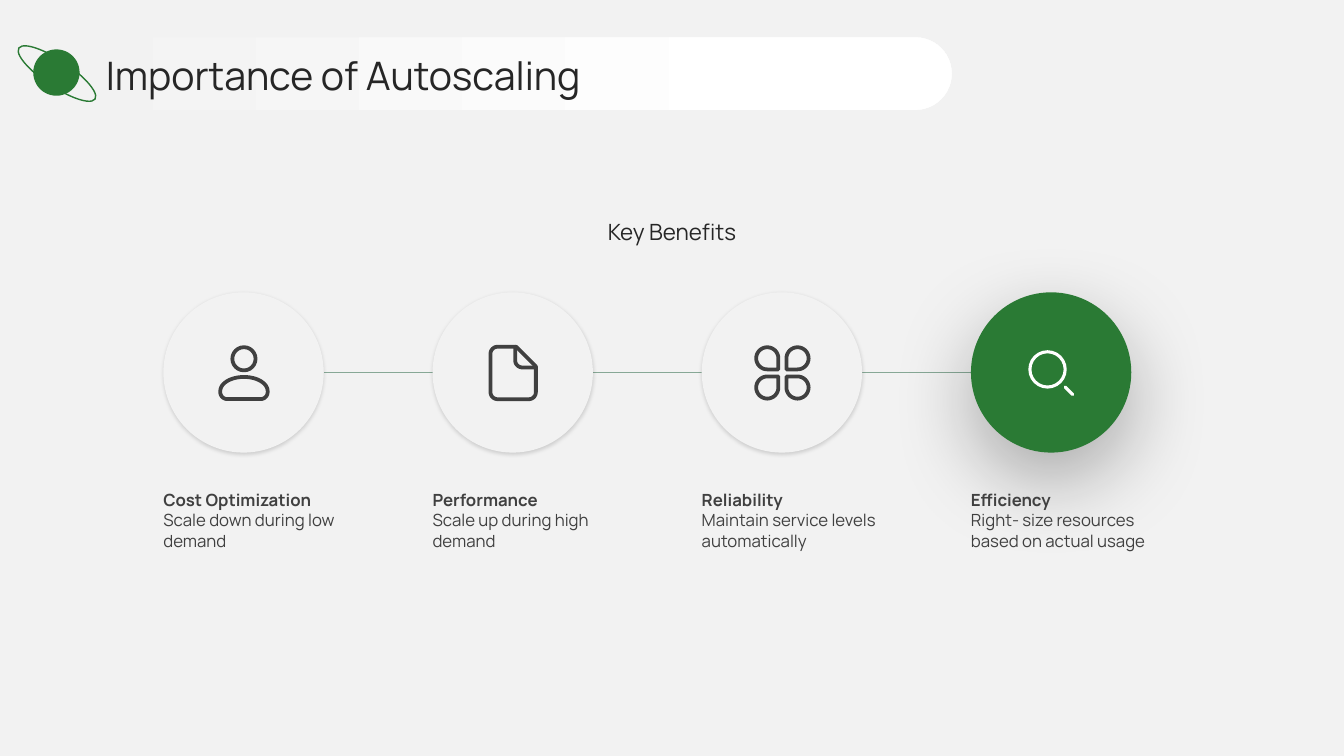
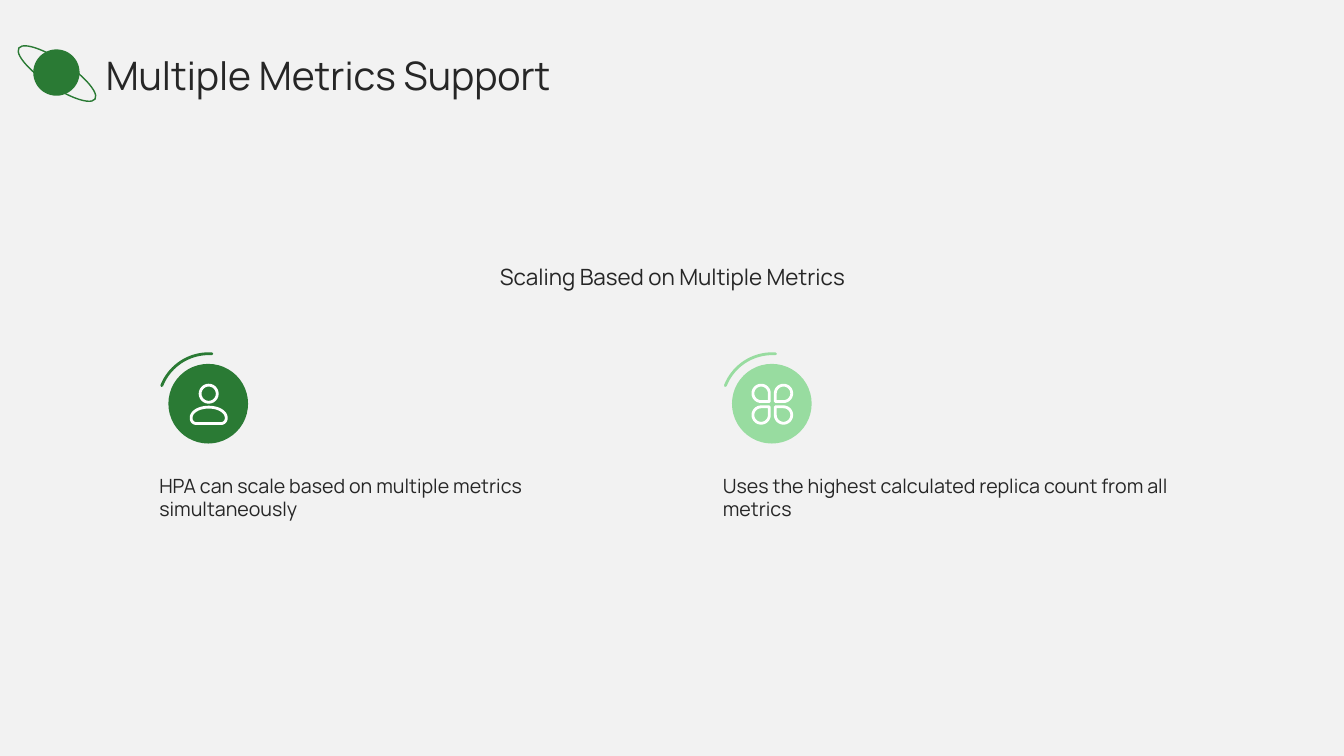
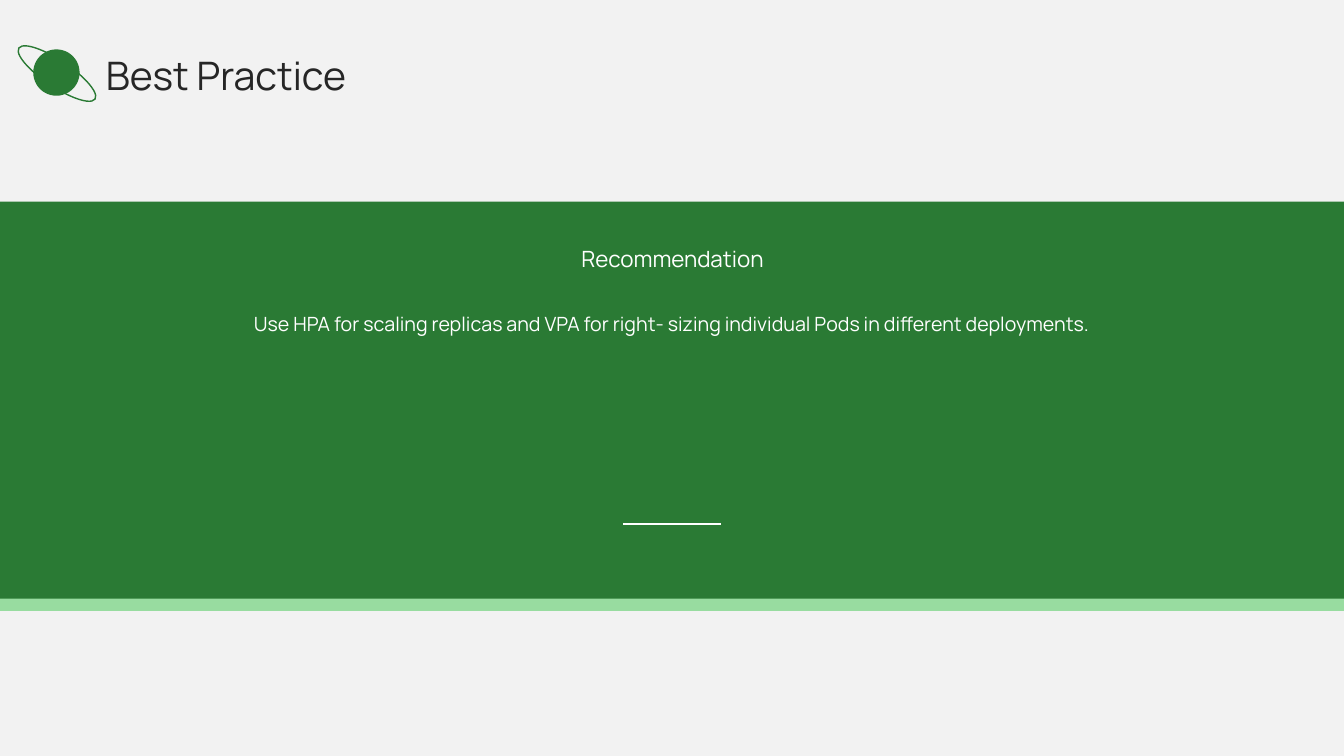
from dataclasses import dataclass
from itertools import product
from math import cos, radians, sin

from lxml.etree import SubElement
from pptx import Presentation
from pptx.dml.color import RGBColor as RGB
from pptx.enum.shapes import MSO_CONNECTOR as LINE, MSO_SHAPE as SHAPE
from pptx.enum.text import MSO_ANCHOR as ANCHOR, PP_ALIGN as ALIGN
from pptx.oxml.ns import qn
from pptx.util import Inches, Pt


@dataclass(frozen=True)
class Theme:
    paper: RGB = RGB(0xF2, 0xF2, 0xF2)
    white: RGB = RGB(0xFF, 0xFF, 0xFF)
    green: RGB = RGB(0x2A, 0x7A, 0x34)
    mint: RGB = RGB(0x98, 0xDC, 0xA0)
    thread: RGB = RGB(0x87, 0xA8, 0x96)
    ink: RGB = RGB(0x26, 0x26, 0x26)
    gray: RGB = RGB(0x40, 0x40, 0x40)
    font: str = "Manrope"
    title: int = 28
    heading: int = 16
    body: int = 14
    caption: int = 12


theme = Theme()


def write(slide, text, left, top, width, height, size=theme.body, color=theme.ink,
          align=ALIGN.LEFT, anchor=ANCHOR.TOP, insets=(0, 0, 0, 0), bold_first=False):
    frame = slide.shapes.add_textbox(
        Inches(left), Inches(top), Inches(width), Inches(height)).text_frame
    frame.word_wrap = True
    frame.vertical_anchor = anchor
    (frame.margin_left, frame.margin_top,
     frame.margin_right, frame.margin_bottom) = map(Inches, insets)
    frame.text = text
    for index, paragraph in enumerate(frame.paragraphs):
        paragraph.alignment = align
        font = paragraph.runs[0].font
        font.name = theme.font
        font.size = Pt(size)
        font.color.rgb = color
        font.bold = bold_first and index == 0


def draw(slide, kind, left, top, width, height, fill=None, line=None, weight=1):
    shape = slide.shapes.add_shape(
        kind, Inches(left), Inches(top), Inches(width), Inches(height))
    shape.shadow.inherit = False
    if fill is None:
        shape.fill.background()
    else:
        shape.fill.solid()
        shape.fill.fore_color.rgb = fill
    if line is None:
        shape.line.fill.background()
    else:
        shape.line.color.rgb = line
        shape.line.width = Pt(weight)
    return shape


deck = Presentation()
deck.slide_width, deck.slide_height = Inches(13.33), Inches(7.5)

slides = []
for title in ("Importance of Autoscaling", "Multiple Metrics Support", "Best Practice"):
    slide = deck.slides.add_slide(deck.slide_layouts[6])
    slide.background.fill.solid()
    slide.background.fill.fore_color.rgb = theme.paper
    if not slides:
        pill = draw(slide, SHAPE.ROUNDED_RECTANGLE, 0.5, 0.37, 8.94, 0.72)
        pill.adjustments[0] = 0.5
        pill.fill.gradient()
        pill.fill.gradient_angle = 0
        for stop, color, position in zip(
                pill.fill.gradient_stops, (theme.paper, theme.white), (0, 0.8)):
            stop.color.rgb = color
            stop.position = position
    write(slide, title, 1.05, 0.49, 11.67, 0.51, size=theme.title, anchor=ANCHOR.MIDDLE)
    draw(slide, SHAPE.OVAL, 0.33, 0.49, 0.46, 0.46, fill=theme.green)
    orbit = draw(slide, SHAPE.OVAL, 0.11, 0.6, 0.91, 0.26, line=theme.green)
    orbit.rotation = 33.8
    slides.append(slide)
benefits_slide, metrics_slide, practice_slide = slides

# Each contour is (closed, arcs); an arc is centre x, y, radius x, y, start and end angle.
icons = {
    "person": [
        (True, [(0, -0.14, 0.115, 0.115, 0, 360)]),
        (True, [(0, 0.18, 0.235, 0.14, 180, 360), (0.165, 0.19, 0.07, 0.07, 0, 90),
                (-0.165, 0.19, 0.07, 0.07, 90, 180)]),
    ],
    "page": [
        (True, [(-0.155, -0.19, 0.07, 0.07, 180, 270), (0.03, -0.26, 0, 0, 0, 0),
                (0.225, -0.065, 0, 0, 0, 0), (0.155, 0.19, 0.07, 0.07, 0, 90),
                (-0.155, 0.19, 0.07, 0.07, 90, 180)]),
        (False, [(0.02, -0.26, 0, 0, 0, 0), (0.09, -0.125, 0.07, 0.07, 180, 90),
                 (0.225, -0.055, 0, 0, 0, 0)]),
    ],
    "clover": [
        (True, [(x * 0.15, y * 0.145, x * 0.11, y * 0.11, -90, 180),
                (x * 0.04, y * 0.035, 0, 0, 0, 0)])
        for x, y in product((-1, 1), repeat=2)
    ],
    "search": [
        (True, [(-0.04, -0.035, 0.175, 0.175, 0, 360)]),
        (False, [(0.135, 0.14, 0, 0, 0, 0), (0.21, 0.215, 0, 0, 0, 0)]),
    ],
}
icon_spots = []

write(benefits_slide, "Key Benefits", 1.28, 1.49, 10.77, 0.94, size=theme.heading,
      align=ALIGN.CENTER, anchor=ANCHOR.BOTTOM)
thread = benefits_slide.shapes.add_connector(
    LINE.STRAIGHT, Inches(3.21), Inches(3.7), Inches(10.13), Inches(3.7))
divider = practice_slide.shapes.add_connector(
    LINE.STRAIGHT, Inches(6.18), Inches(5.2), Inches(7.15), Inches(5.2))

benefits = [
    ("Cost Optimization", "Scale down during low demand", "person"),
    ("Performance", "Scale up during high demand", "page"),
    ("Reliability", "Maintain service levels automatically", "clover"),
    ("Efficiency", "Right- size resources based on actual usage", "search"),
]
for index, (name, detail, icon) in enumerate(benefits):
    left = 1.62 + index * 2.67
    highlighted = icon == "search"
    disc = draw(benefits_slide, SHAPE.OVAL, left, 2.9, 1.59, 1.59,
                fill=theme.green if highlighted else theme.paper)
    opacity, blur, distance = (30, 60, 20) if highlighted else (15, 3, 1)
    glow = SubElement(disc.element.spPr.find(qn("a:effectLst")), qn("a:outerShdw"),
                      blurRad=str(Pt(blur)), dist=str(Pt(distance)),
                      dir="5400000", algn="t", rotWithShape="0")
    tint = SubElement(glow, qn("a:srgbClr"), val="000000")
    SubElement(tint, qn("a:alpha"), val=str(opacity * 1000))
    write(benefits_slide, f"{name}\n{detail}", left, 4.82, 2.08, 1.89, size=theme.caption,
          color=theme.gray, insets=(0, 0.04, 0.24, 0.04), bold_first=True)
    icon_spots.append((benefits_slide, icon, left + 0.8, 3.7, 1,
                       theme.white if highlighted else theme.gray,
                       2.2 if highlighted else 2.7))

write(metrics_slide, "Scaling Based on Multiple Metrics", 1.48, 1.7, 10.38, 1.18,
      size=theme.heading, align=ALIGN.CENTER, anchor=ANCHOR.BOTTOM)
metrics = [
    ("HPA can scale based on multiple metrics simultaneously", "person", theme.green, 1.58),
    ("Uses the highest calculated replica count from all metrics", "clover", theme.mint, 7.17),
]
for detail, icon, color, left in metrics:
    center = left + 0.49
    draw(metrics_slide, SHAPE.OVAL, center - 0.4, 3.61, 0.79, 0.79, fill=color)
    sweep = draw(metrics_slide, SHAPE.ARC, center - 0.5, 3.51, 1, 1, line=color, weight=2)
    sweep.adjustments[0], sweep.adjustments[1] = 120.86, 164.24
    sweep.line._get_or_add_ln().set("cap", "rnd")
    write(metrics_slide, detail, left, 4.7, 4.6, 1.7)
    icon_spots.append((metrics_slide, icon, center, 4.01, 0.74, theme.white, 2))

for slide, icon, x, y, scale, color, weight in icon_spots:
    outline = None
    for closed, arcs in icons[icon]:
        points = []
        for arc_x, arc_y, radius_x, radius_y, start, end in arcs:
            steps = 24 if radius_x else 0
            for step in range(steps + 1):
                angle = radians(start + (end - start) * step / max(steps, 1))
                points.append((Inches(x + scale * (arc_x + radius_x * cos(angle))),
                               Inches(y + scale * (arc_y + radius_y * sin(angle)))))
        if outline is None:
            outline = slide.shapes.build_freeform(*points[0])
        else:
            outline.move_to(*points[0])
        outline.add_line_segments(points[1:], close=closed)
    glyph = outline.convert_to_shape()
    glyph.shadow.inherit = False
    glyph.fill.background()
    glyph.line.color.rgb = color
    glyph.line.width = Pt(weight)
    glyph.line._get_or_add_ln().set("cap", "rnd")

for top, color in ((2.12, theme.mint), (2, theme.green)):
    draw(practice_slide, SHAPE.RECTANGLE, 0, top, 13.33, 3.94, fill=color)
write(practice_slide, "Recommendation", 3.57, 2.24, 6.2, 0.65, size=theme.heading,
      color=theme.white, align=ALIGN.CENTER, anchor=ANCHOR.MIDDLE)
write(practice_slide,
      "Use HPA for scaling replicas and VPA for right- sizing individual Pods "
      "in different deployments.",
      1.74, 3.09, 9.85, 1.87, color=theme.white, align=ALIGN.CENTER)
practice_slide.shapes._spTree.append(divider._element)

for rule, color, weight in ((thread, theme.thread, 0.75), (divider, theme.white, 1)):
    rule.line.color.rgb = color
    rule.line.width = Pt(weight)
    SubElement(rule._element.spPr, qn("a:effectLst"))

deck.save("out.pptx")
